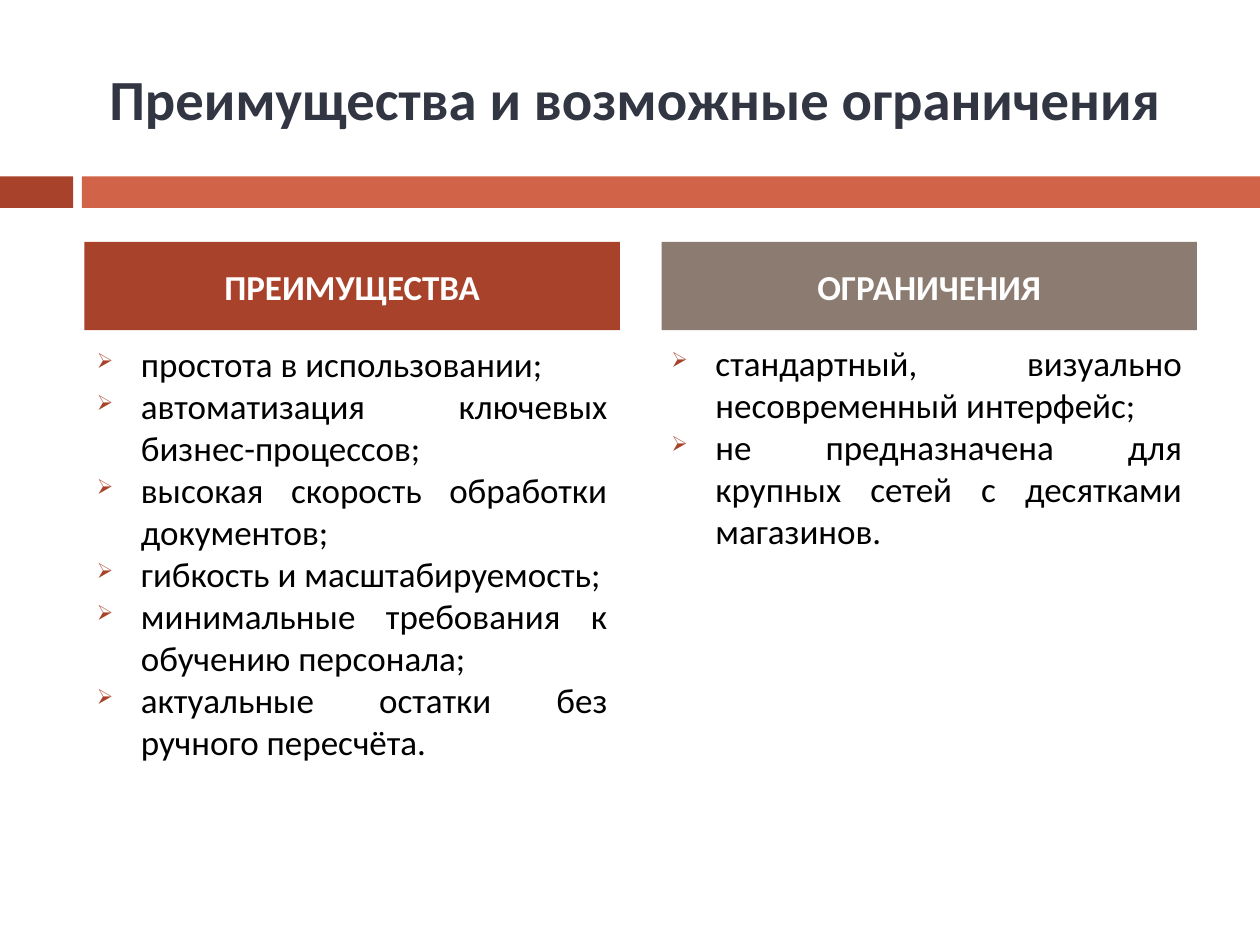
from lxml import etree
from pptx import Presentation
from pptx.dml.color import RGBColor
from pptx.enum import shapes, text
from pptx.oxml.ns import qn
from pptx.util import Inches, Pt

RUST = RGBColor(0xA8, 0x42, 0x2A)
CORAL = RGBColor(0xD1, 0x63, 0x49)
TAUPE = RGBColor(0x8C, 0x7B, 0x70)
NAVY = RGBColor(0x32, 0x36, 0x43)
WHITE = RGBColor(0xFF, 0xFF, 0xFF)
BLACK = RGBColor(0, 0, 0)

FONT = "Calibri"
COLUMN_WIDTH = 4.25
BULLET_INDENT = Inches(0.35)

ADVANTAGES = [
    "простота в использовании;",
    "автоматизация ключевых бизнес-процессов;",
    "высокая скорость обработки документов;",
    "гибкость и масштабируемость;",
    "минимальные требования к обучению персонала;",
    "актуальные остатки без ручного пересчёта.",
]
LIMITATIONS = [
    "стандартный, визуально несовременный интерфейс;",
    "не предназначена для крупных сетей с десятками магазинов.",
]


def format_paragraph(para, size, color, align, bold=False):
    para.alignment = align
    for span in para.runs:
        span.font.name = FONT
        span.font.size = Pt(size)
        span.font.bold = bold
        span.font.color.rgb = color


def set_title(page, wording):
    title = page.shapes.title
    title.left, title.top = Inches(0.58), Inches(0.3)
    title.width, title.height = Inches(8.92), Inches(0.95)
    frame = title.text_frame
    frame.text = wording
    frame.vertical_anchor = text.MSO_ANCHOR.MIDDLE
    format_paragraph(frame.paragraphs[0], 32.4, NAVY, text.PP_ALIGN.CENTER, bold=True)


def add_block(page, left, top, width, height, color):
    block = page.shapes.add_shape(
        shapes.MSO_SHAPE.RECTANGLE,
        Inches(left), Inches(top), Inches(width), Inches(height))
    block.shadow.inherit = False
    block.fill.solid()
    block.fill.fore_color.rgb = color
    block.line.fill.background()
    return block


def add_heading(page, left, wording, color):
    frame = add_block(page, left, 1.92, COLUMN_WIDTH, 0.7, color).text_frame
    frame.text = wording
    frame.vertical_anchor = text.MSO_ANCHOR.MIDDLE
    para = frame.paragraphs[0]
    para.space_before = Pt(7)
    format_paragraph(para, 20, WHITE, text.PP_ALIGN.CENTER, bold=True)


def add_bullet(para):
    """Give the paragraph a hanging arrow bullet at 60% of the text size."""
    properties = para._p.get_or_add_pPr()
    properties.set("marL", str(BULLET_INDENT))
    properties.set("indent", str(-BULLET_INDENT))
    color = etree.SubElement(properties, qn("a:buClr"))
    etree.SubElement(color, qn("a:srgbClr"), val=str(RUST))
    etree.SubElement(properties, qn("a:buSzPct"), val="60000")
    etree.SubElement(properties, qn("a:buChar"), char="➢")


def add_bullet_list(page, left, top, items, first_space=0):
    box = page.shapes.add_textbox(
        Inches(left), Inches(top), Inches(COLUMN_WIDTH), Inches(3.92))
    frame = box.text_frame
    frame.word_wrap = True
    frame.text = "\n".join(items)
    frame.paragraphs[0].space_before = Pt(first_space)
    for para in frame.paragraphs:
        format_paragraph(para, 20, BLACK, text.PP_ALIGN.JUSTIFY)
        add_bullet(para)


def main():
    deck = Presentation()
    deck.slide_width, deck.slide_height = Inches(10), Inches(7.5)
    page = deck.slides.add_slide(deck.slide_layouts[5])

    add_block(page, 0, 1.4, 0.58, 0.25, RUST)
    add_block(page, 0.65, 1.4, 9.35, 0.25, CORAL)
    set_title(page, "Преимущества и возможные ограничения")

    add_bullet_list(page, 0.67, 2.67, ADVANTAGES)
    add_bullet_list(page, 5.23, 2.66, LIMITATIONS, first_space=7)
    add_heading(page, 0.67, "ПРЕИМУЩЕСТВА", RUST)
    add_heading(page, 5.25, "ОГРАНИЧЕНИЯ", TAUPE)

    deck.save("out.pptx")


if __name__ == "__main__":
    main()
